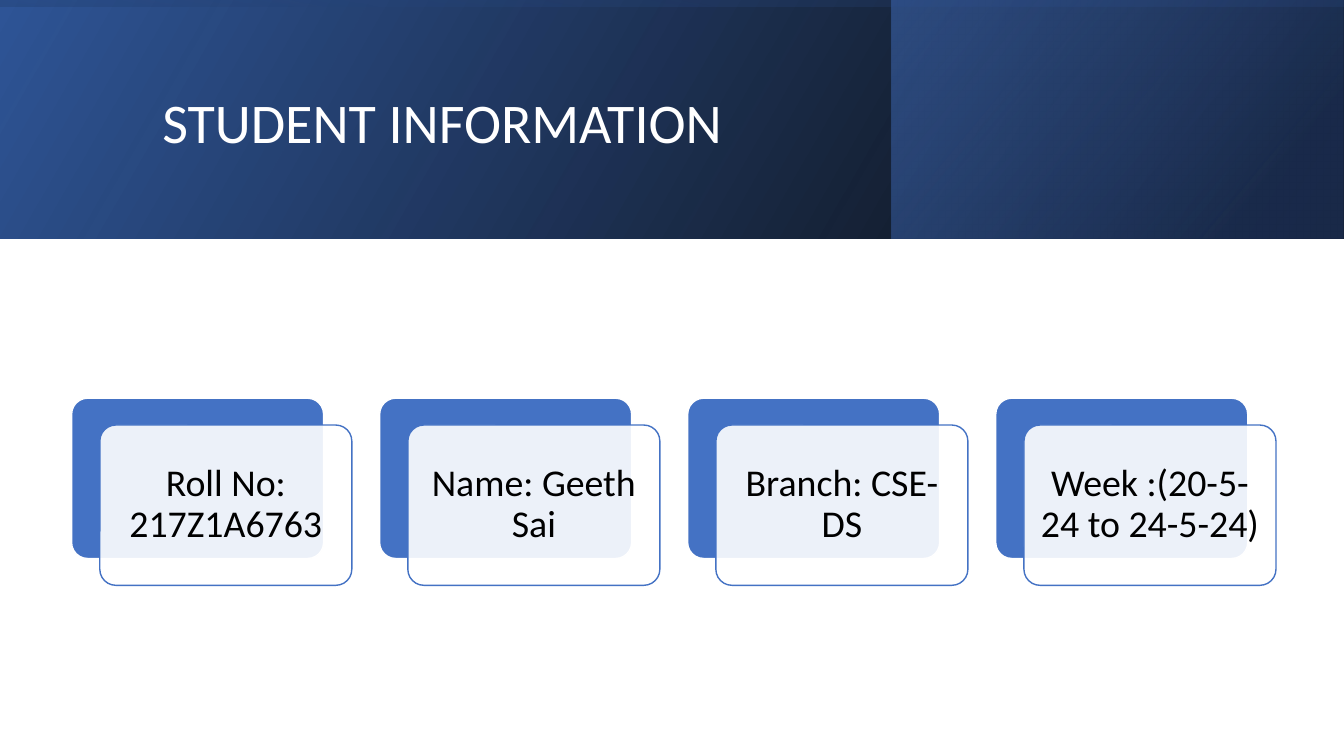
"""Build a student information slide with a gradient header and four layered cards."""
from lxml import etree
from pptx import Presentation
from pptx.dml.color import RGBColor
from pptx.enum.shapes import MSO_SHAPE
from pptx.enum.text import MSO_ANCHOR, MSO_AUTO_SIZE, PP_ALIGN
from pptx.oxml.ns import qn
from pptx.util import Inches, Pt

RECTANGLE, ROUNDED = MSO_SHAPE.RECTANGLE, MSO_SHAPE.ROUNDED_RECTANGLE
LEFT, CENTER, MIDDLE = PP_ALIGN.LEFT, PP_ALIGN.CENTER, MSO_ANCHOR.MIDDLE
NO_FIT = MSO_AUTO_SIZE.NONE
COLORS = {"white": "FFFFFF", "black": "000000", "blue": "4472C4",
          "deep": "2F5597", "navy": "203864"}
HEADER_HEIGHT = 31.6
CARD_LEFT, CARD_TOP, CARD_WIDTH, CARD_HEIGHT = 5.33, 52.67, 18.75, 21.2
CARD_PITCH, SHIFT_RIGHT, SHIFT_DOWN = 22.92, 2.1, 3.55
CARDS = ["Roll No: 217Z1A6763", "Name: Geeth Sai", "Branch: CSE-DS",
         "Week :(20-5-24 to 24-5-24)"]
BANDS = [
    ((0, 0, 100, HEADER_HEIGHT), 0, 330,
     [(0, "black", 96), (100, "deep", 100)]),
    ((66.3, 0, 33.65, HEADER_HEIGHT), 0, 320,
     [(19, "navy", 68), (100, "blue", 48)]),
    ((41.11, -73.09, 17.78, 177.78), 270, 350,
     [(23, "deep", 16), (99, "black", 45)]),
]


class SlideBuilder:
    """Hold the style and the current page, placing elements in percent of its size."""

    def __init__(self, deck):
        self.deck = deck
        self.font = "Calibri"
        self.page = deck.slides.add_slide(deck.slide_layouts[5])

    def color(self, name):
        return RGBColor.from_string(COLORS[name])

    def lengths(self, area):
        sides = (self.deck.slide_width, self.deck.slide_height) * 2
        return [round(side * share / 100) for side, share in zip(sides, area)]

    def shape(self, kind, area):
        box = self.page.shapes.add_shape(kind, *self.lengths(area))
        box.shadow.inherit = False
        return box

    def label(self, box, text, size, color, align, inset):
        frame = box.text_frame
        frame_format = {"word_wrap": True, "auto_size": NO_FIT, "vertical_anchor": MIDDLE,
                        "margin_left": inset, "margin_right": inset,
                        "margin_top": inset, "margin_bottom": inset}
        para = frame.paragraphs[0]
        span = para.add_run()
        formats = [(frame, frame_format),
                   (para, {"alignment": align, "line_spacing": 0.9}),
                   (span, {"text": text}),
                   (span.font, {"name": self.font, "size": Pt(size)})]
        for target, values in formats:
            for name, value in values.items():
                setattr(target, name, value)
        span.font.color.rgb = self.color(color)

    def title(self, text, area):
        box = self.page.shapes.title
        box.left, box.top, box.width, box.height = self.lengths(area)
        self.label(box, text, 40, "white", LEFT, Inches(0.1))
        tree = self.page.shapes.element
        tree.remove(box.element)
        tree.append(box.element)

    def band(self, area, rotation, angle, stops):
        box = self.shape(RECTANGLE, area)
        box.rotation = rotation
        box.line.fill.background()
        properties = box.element.spPr
        properties.find(qn("a:xfrm")).set("flipH", "1")
        gradient = etree.Element(qn("a:gradFill"), rotWithShape="1")
        stop_list = etree.SubElement(gradient, qn("a:gsLst"))
        for position, color, opacity in stops:
            stop = etree.SubElement(stop_list, qn("a:gs"), pos=str(position * 1000))
            tint = etree.SubElement(stop, qn("a:srgbClr"), val=COLORS[color])
            etree.SubElement(tint, qn("a:alpha"), val=str(opacity * 1000))
        etree.SubElement(gradient, qn("a:lin"), ang=str(angle * 60000), scaled="0")
        properties.find(qn("a:prstGeom")).addnext(gradient)

    def panel(self, area, fill, line, opacity=100):
        box = self.shape(ROUNDED, area)
        box.adjustments[0] = 0.1
        box.fill.solid()
        box.fill.fore_color.rgb = self.color(fill)
        box.line.color.rgb = self.color(line)
        box.line.width = Pt(1)
        if opacity < 100:
            tint = box.element.spPr.find(qn("a:solidFill"))[0]
            etree.SubElement(tint, qn("a:alpha"), val=str(opacity * 1000))
        return box

    def card(self, column, text):
        left = CARD_LEFT + column * CARD_PITCH
        size = (CARD_WIDTH, CARD_HEIGHT)
        self.panel((left, CARD_TOP, *size), "blue", "white")
        front = self.panel((left + SHIFT_RIGHT, CARD_TOP + SHIFT_DOWN, *size),
                           "white", "blue", 90)
        self.label(front, text, 27, "black", CENTER, Inches(0.11))


def main():
    deck = Presentation()
    deck.slide_width, deck.slide_height = Inches(13.33), Inches(7.5)
    builder = SlideBuilder(deck)
    for band in BANDS:
        builder.band(*band)
    builder.title("STUDENT INFORMATION", (11.33, 5.07, 79.73, 22.93))
    for column, text in enumerate(CARDS):
        builder.card(column, text)
    deck.save("out.pptx")


if __name__ == "__main__":
    main()
